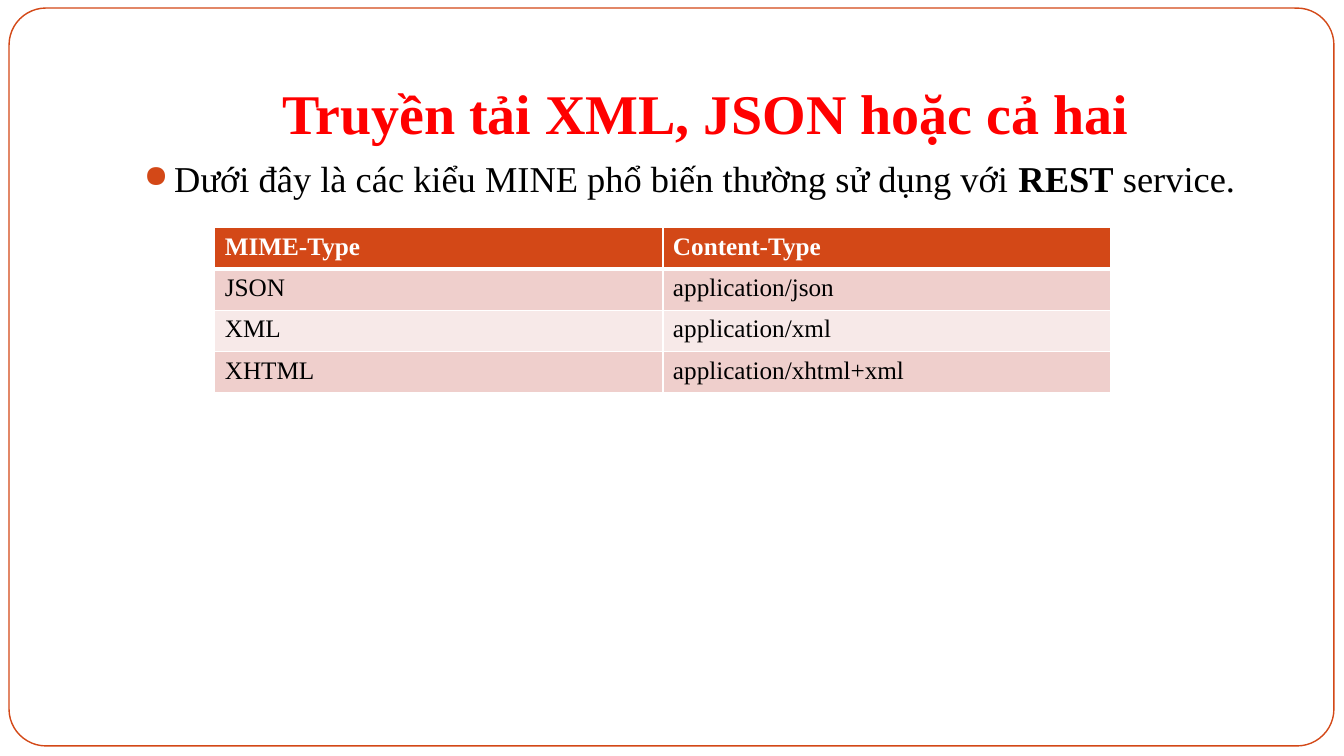
from lxml.etree import SubElement
from pptx import Presentation
from pptx.dml.color import RGBColor
from pptx.enum.shapes import MSO_SHAPE
from pptx.enum.text import MSO_ANCHOR, PP_ALIGN
from pptx.oxml import parse_xml
from pptx.oxml.ns import nsdecls, qn
from pptx.util import Inches, Pt

COLORS = {
    "accent": "D34817", "title": "FF0000", "text": "000000",
    "white": "FFFFFF", "odd_row": "EFCFCC", "even_row": "F7E9E8",
}
MIME_TYPES = [
    ("MIME-Type", "Content-Type"),
    ("JSON", "application/json"),
    ("XML", "application/xml"),
    ("XHTML", "application/xhtml+xml"),
]


class SlideBuilder:
    """Holds the style and the current slide, and adds each kind of element."""

    font_name = "Times New Roman"

    def __init__(self, presentation):
        self.slide = presentation.slides.add_slide(presentation.slide_layouts[5])

    def color(self, key):
        return RGBColor.from_string(COLORS[key])

    def format_run(self, run, size, color, bold=False):
        run.font.name = self.font_name
        run.font.size = Pt(size)
        run.font.bold = bold
        run.font.color.rgb = self.color(color)

    def place(self, shape, left, top, width, height):
        shape.left, shape.top = Inches(left), Inches(top)
        shape.width, shape.height = Inches(width), Inches(height)

    def add_frame(self, left, top, width, height):
        frame = self.slide.shapes.add_shape(
            MSO_SHAPE.ROUNDED_RECTANGLE,
            Inches(left), Inches(top), Inches(width), Inches(height))
        frame.adjustments[0] = 0.05
        frame.shadow.inherit = False
        frame.fill.background()
        frame.line.color.rgb = self.color("accent")
        frame.line.width = Pt(1)

    def set_title(self, wording, left, top, width, height):
        title = self.slide.shapes.title
        self.place(title, left, top, width, height)
        content = title.text_frame
        content.text = wording
        content.word_wrap = True
        content.vertical_anchor = MSO_ANCHOR.BOTTOM
        content.margin_bottom = Inches(0.1)
        heading = content.paragraphs[0]
        heading.alignment = PP_ALIGN.CENTER
        self.format_run(heading.runs[0], 40, "title", bold=True)

    def add_bullet(self, pieces, left, top, width, height):
        body = self.slide.shapes.add_textbox(
            Inches(left), Inches(top), Inches(width), Inches(height))
        body.text_frame.word_wrap = True
        sentence = body.text_frame.paragraphs[0]
        sentence.space_before = Pt(5.8)
        for wording, bold in pieces:
            run = sentence.add_run()
            run.text = wording
            self.format_run(run, 26, "text", bold)
        properties = sentence._p.get_or_add_pPr()
        properties.set("marL", str(Inches(0.3)))
        properties.set("indent", str(Inches(-0.3)))
        bullet_color = SubElement(properties, qn("a:buClr"))
        SubElement(bullet_color, qn("a:srgbClr"), val=COLORS["accent"])
        SubElement(properties, qn("a:buSzPct"), val="85000")
        SubElement(properties, qn("a:buChar"), char="●")

    def set_borders(self, cell, widths):
        properties = cell._tc.get_or_add_tcPr()
        for position, (side, width) in enumerate(widths.items()):
            border = parse_xml(
                f'<a:ln{side} {nsdecls("a")} w="{Pt(width)}"><a:solidFill>'
                f'<a:srgbClr val="{COLORS["white"]}"/></a:solidFill></a:ln{side}>')
            properties.insert(position, border)

    def add_table(self, rows, left, top, width, row_height):
        table = self.slide.shapes.add_table(
            len(rows), len(rows[0]), Inches(left), Inches(top),
            Inches(width), Inches(row_height * len(rows))).table
        for row_index, row in enumerate(rows):
            header = row_index == 0
            fill = "accent" if header else ("even_row", "odd_row")[row_index % 2]
            for column_index, wording in enumerate(row):
                cell = table.cell(row_index, column_index)
                cell.text = wording
                cell.fill.solid()
                cell.fill.fore_color.rgb = self.color(fill)
                self.format_run(cell.text_frame.paragraphs[0].runs[0], 18,
                                "white" if header else "text", header)
                self.set_borders(cell, {
                    "L": 1, "R": 1, "T": 3 if row_index == 1 else 1,
                    "B": 3 if header else 1})


def main():
    presentation = Presentation()
    presentation.slide_width = Inches(13.33)
    presentation.slide_height = Inches(7.5)
    builder = SlideBuilder(presentation)
    builder.add_frame(0.09, 0.08, 13.14, 7.32)
    builder.set_title("Truyền tải XML, JSON hoặc cả hai", 1.33, 0.3, 11.33, 1.25)
    builder.add_bullet([
        ("Dưới đây là các kiểu MINE phổ biến thường sử dụng với ", False),
        ("REST", True),
        (" service.", False),
    ], 1.33, 1.5, 11.33, 5.66)
    builder.add_table(MIME_TYPES, 2.13, 2.26, 8.89, 0.41)
    presentation.save("out.pptx")


if __name__ == "__main__":
    main()
